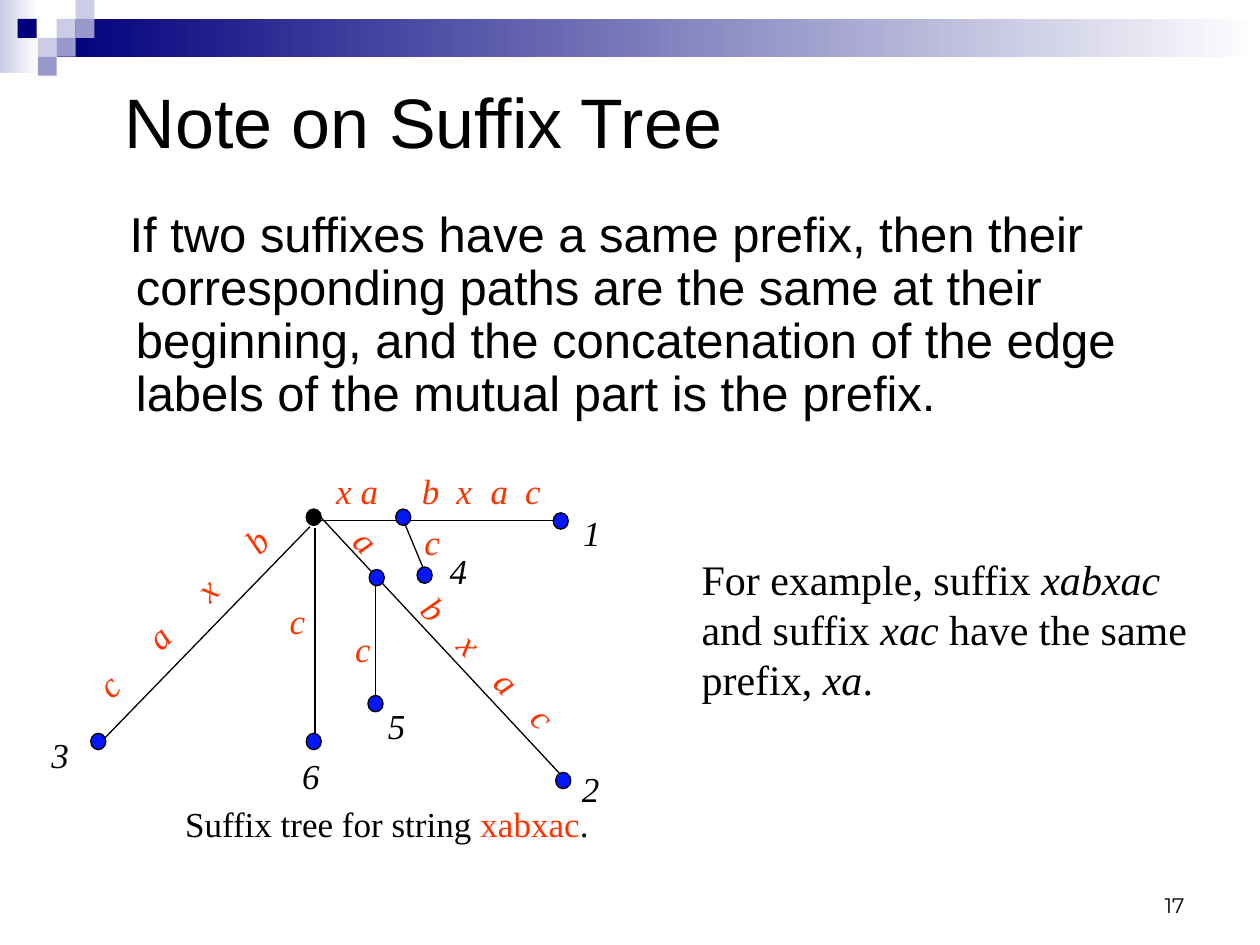
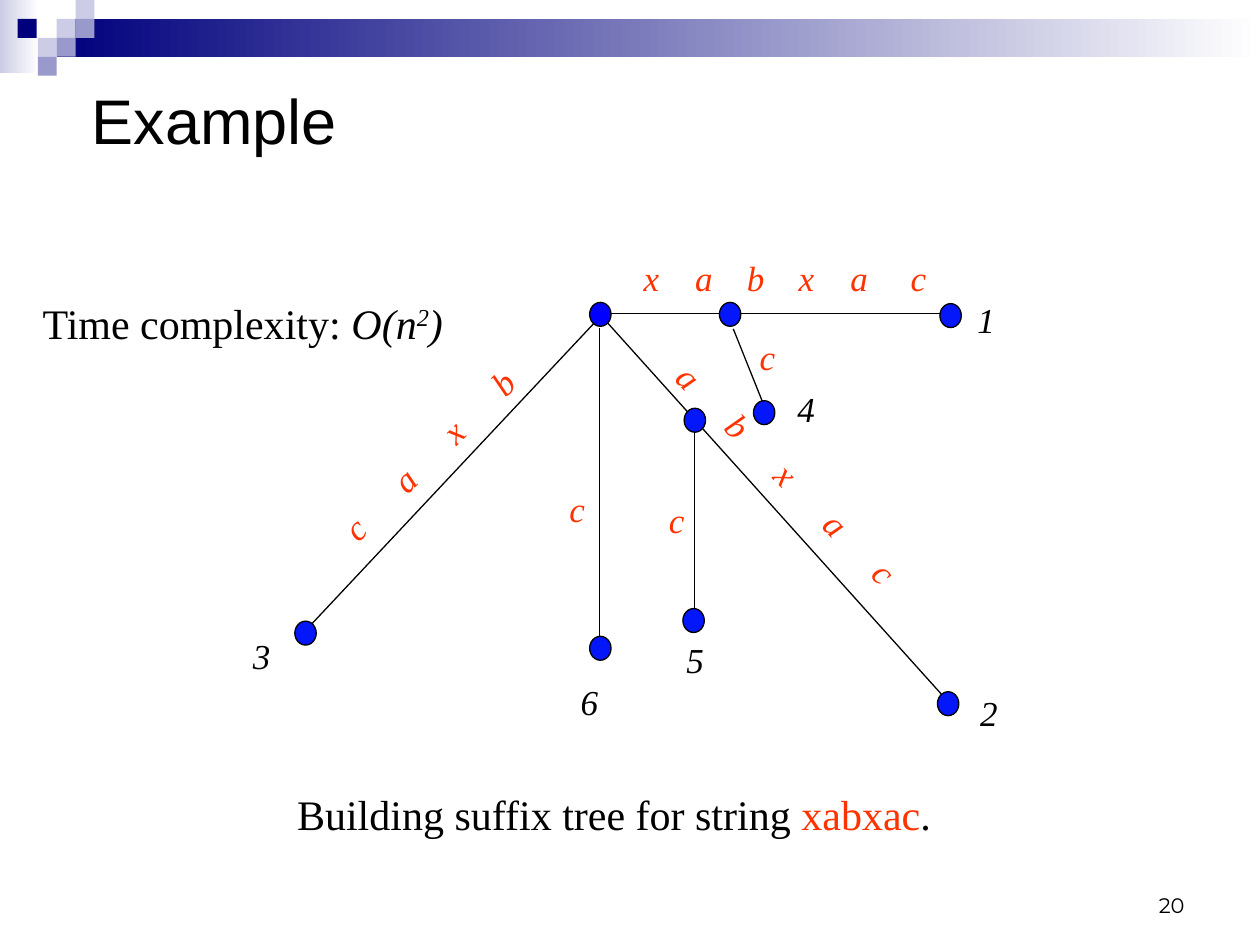
from pptx import Presentation
from pptx.dml.color import RGBColor
from pptx.enum.shapes import MSO_CONNECTOR, MSO_SHAPE
from pptx.enum.text import MSO_ANCHOR, MSO_AUTO_SIZE, PP_ALIGN
from pptx.oxml.ns import qn
from pptx.util import Inches, Pt
from lxml import etree

RECT, OVAL = MSO_SHAPE.RECTANGLE, MSO_SHAPE.OVAL
STRAIGHT = MSO_CONNECTOR.STRAIGHT
LEFT, RIGHT = PP_ALIGN.LEFT, PP_ALIGN.RIGHT
TOP, MIDDLE, BOTTOM = MSO_ANCHOR.TOP, MSO_ANCHOR.MIDDLE, MSO_ANCHOR.BOTTOM
NO_FIT = MSO_AUTO_SIZE.NONE

# The slide is a grid of 100 columns by 75 rows
COLS, ROWS = 100, 75
CELL = Inches(0.1)
BLACK, WHITE, RED, BLUE = "000000", "FFFFFF", "FF3300", "0416FA"
NAVY, LILAC, VIOLET = "00007D", "CCCCE6", "9999CC"
SANS, SERIF, NUMBER_FONT = "Arial", "Times New Roman", "Montserrat"
LINE_WIDTH = Pt(0.75)
MARK_SIZE = 20


def color(value):
    return RGBColor.from_string(value)


def grid(*cells):
    return [round(c * CELL) for c in cells]


def add_runs(p, runs, size, font):
    """Each run is (text, colour, italic) with an optional superscript flag."""
    for text, ink, italic, *superscript in runs:
        r = p.add_run()
        r.text = text
        r.font.size, r.font.name = Pt(size), font
        r.font.italic = italic
        r.font.color.rgb = color(ink)
        if superscript:
            r.font.superscript = True if hasattr(r.font, "superscript") else None
            r._r.get_or_add_rPr().set("baseline", "30000")


def add_text(s, box, lines, size, font=SERIF, wrap=False, align=LEFT, anchor=TOP):
    sp = s.shapes.add_textbox(*grid(*box))
    tf = sp.text_frame
    tf.word_wrap, tf.vertical_anchor = wrap, anchor
    for i, runs in enumerate(lines):
        p = tf.add_paragraph() if i else tf.paragraphs[0]
        p.alignment = align
        add_runs(p, runs, size, font)
    return sp


def add_shape(s, kind, box, fill, line=None):
    sp = s.shapes.add_shape(kind, *grid(*box))
    sp.shadow.inherit = False
    if isinstance(fill, tuple):
        sp.fill.gradient()
        sp.fill.gradient_angle = 0
        for stop, value in zip(sp.fill.gradient_stops, fill):
            stop.color.rgb = color(value)
    else:
        sp.fill.solid()
        sp.fill.fore_color.rgb = color(fill)
    if line:
        sp.line.color.rgb = color(line)
        sp.line.width = LINE_WIDTH
    else:
        sp.line.fill.background()
    return sp


def add_edge(s, ends):
    line = s.shapes.add_connector(STRAIGHT, *grid(*ends))
    line.line.color.rgb = color(BLACK)
    line.line.width = LINE_WIDTH
    etree.SubElement(line.element.spPr, qn("a:effectLst"))


def add_master_band(prs, s):
    """Top band and checker squares, drawn once and moved to the master."""
    tile = 1.5
    parts = [((0, 0, 3.1, 5.8), (LILAC, WHITE)),
             ((4.5, tile, COLS - 4.5, 2 * tile), (NAVY, WHITE))]
    squares = [(4.5, 1, LILAC), (6, 0, LILAC), (6, 1, VIOLET), (3, 2, LILAC),
               (1.4, 1, NAVY), (4.5, 2, VIOLET), (3, 3, VIOLET)]
    parts += [((x, row * tile, tile, tile), fill) for x, row, fill in squares]
    tree = prs.slide_master.element.cSld.spTree
    for i, (box, fill) in enumerate(parts):
        sp = add_shape(s, RECT, box, fill)
        sp.element.nvSpPr.cNvPr.set("id", str(100 + i))
        tree.insert(2 + i, sp.element)


def add_frame(s, title, box, size, number):
    """Title and slide number."""
    sp = s.shapes.title
    sp.left, sp.top, sp.width, sp.height = grid(*box)
    tf = sp.text_frame
    tf.word_wrap, tf.auto_size, tf.vertical_anchor = True, NO_FIT, MIDDLE
    p = tf.paragraphs[0]
    p.alignment = LEFT
    add_runs(p, [(title, BLACK, False)], size, SANS)
    add_text(s, (71.7, 68.3, 23.3, 5), [[(number, BLACK, False)]], 12,
             NUMBER_FONT, wrap=True, align=RIGHT, anchor=BOTTOM)


def add_edge_label(s, box, angle, letters, stops):
    """Letters along an edge, set apart by tab stops (in columns)."""
    sp = add_text(s, box, [[("\t".join(letters), RED, True)]], MARK_SIZE, wrap=True)
    sp.rotation = angle
    pPr = sp.text_frame.paragraphs[0]._p.get_or_add_pPr()
    tabs = etree.SubElement(pPr, qn("a:tabLst"))
    for stop in grid(*stops):
        etree.SubElement(tabs, qn("a:tab"), pos=str(stop), algn="l")


def even_stops(first, step, count):
    return [first + i * step for i in range(count)]


def add_tree(s, left, top, tree):
    """Suffix tree, its parts measured from the box's top left corner."""
    w, h = tree["node_size"]
    for x1, y1, x2, y2 in tree["edges"]:
        add_edge(s, (left + x1, top + y1, left + x2, top + y2))
    dots = [(x, y, BLUE) for x, y in tree["inner"]]
    dots += [(x, y, BLUE) for _, x, y, _, _ in tree["leaves"]]
    for x, y, fill in dots + [tree["root"]]:
        add_shape(s, OVAL, (left + x - w / 2, top + y - h / 2, w, h), fill, BLACK)
    for mark, _, _, x, y in tree["leaves"]:
        add_text(s, (left + x, top + y, 3.4, 4.4), [[(mark, BLACK, True)]], MARK_SIZE)
    for x, y in tree["c_labels"]:
        add_text(s, (left + x, top + y, 3.2, 4.4), [[("c", RED, True)]], MARK_SIZE)
    for x, y, width, angle, letters, stops in tree["labels"]:
        add_edge_label(s, (left + x, top + y, width, 4.4), angle, letters, stops)


# Leaves: number, node centre, place of the number
NOTE_TREE = {
    "node_size": (1.2, 1.3),
    "root": (21.9, 5.05, BLACK),
    "inner": [(26.9, 9.85), (29, 5.05)],
    "leaves": [("1", 41.5, 5.35, 42.3, 4.1), ("2", 41.7, 25.95, 42.2, 24.4),
               ("3", 4.8, 22.85, 0.1, 21.7), ("4", 30.7, 9.65, 31.7, 7.1),
               ("5", 26.8, 19.85, 26.8, 19.4), ("6", 21.9, 22.85, 20, 23.4)],
    "edges": [(22, 5.3, 41.3, 5.3), (22.5, 5.1, 41.8, 25.8), (21.6, 5.8, 5, 22.9),
              (29.1, 5.5, 30.8, 9.6), (26.8, 10.1, 26.8, 19.9), (22, 5.9, 22, 23)],
    "c_labels": [(29.7, 4.8), (24.2, 13.3), (19, 11.1)],
    "labels": [(1.1, 9.1, 23.5, 315.6, "caxb", even_stops(5.45, 5.45, 3)),
               (20.8, 13.5, 28.1, 45, "abxac", even_stops(7.6, 4.1, 4)),
               (22.7, 0.8, 18.2, 0, ["x a", *"bxac"], even_stops(6.8, 2.73, 4))],
}
EXAMPLE_TREE = {
    "node_size": (1.7, 1.9),
    "root": (28.65, 4.95, "0000FF"),
    "inner": [(36.15, 13.35), (38.95, 4.95)],
    "leaves": [("1", 56.45, 5.05, 57.6, 3.2), ("2", 56.25, 35.85, 57.8, 34.4),
               ("3", 5.25, 30.25, 0.1, 29.9), ("4", 41.65, 12.75, 43.3, 10.3),
               ("5", 36.05, 29.25, 34.5, 30.2), ("6", 28.65, 31.45, 26.1, 33.5)],
    "edges": [(29.5, 4.9, 56.1, 4.9), (29.2, 5.6, 55.9, 35.3), (28.2, 5.6, 5.2, 30.1),
              (39.2, 6.1, 41.6, 12.1), (36.1, 14.4, 36.1, 28.5), (28.6, 6, 28.6, 30.5)],
    "c_labels": [(40.3, 6.1), (33.1, 19.1), (25.2, 18.2)],
    "labels": [(4.6, 12.5, 23.8, 315.6, "caxb", even_stops(5.45, 5.45, 3)),
               (30.4, 16.5, 28.1, 45, "abxac", even_stops(5.5, 5.5, 4)),
               (31.1, -0.1, 24.6, 0, "xabxac", even_stops(4.1, 4.1, 4) + [21.2])],
}


def add_caption(s, box, lead, size):
    runs = [(lead, BLACK, False), ("xabxac", RED, False), (".", BLACK, False)]
    add_text(s, box, [runs], size)


def note_slide(s):
    add_frame(s, "Note on Suffix Tree", (8.9, 5.5, 86.8, 8.2), 40, "17")
    # Statement
    statement = ("If two suffixes have a same prefix, then their corresponding paths "
                 "are the same at their beginning, and the concatenation of the edge "
                 "labels of the mutual part is the prefix.")
    sp = add_text(s, (6, 16.2, 89.9, 19.2), [[(statement, BLACK, False)]], 28,
                  SANS, wrap=True)
    p = sp.text_frame.paragraphs[0]
    p.line_spacing, p.space_before = 0.9, Pt(7)
    pPr = p._p.get_or_add_pPr()
    pPr.set("marL", str(Inches(0.38)))
    pPr.set("indent", str(Inches(-0.05)))
    # Tree and its example
    add_tree(s, 3, 36, NOTE_TREE)
    add_caption(s, (13.7, 63.2, 34.1, 4.4), "Suffix tree for string ", 20)
    add_text(s, (54.7, 43.4, 40.6, 13), [
        [("For example, suffix", BLACK, False), (" xabxac", BLACK, True)],
        [("and suffix ", BLACK, False), ("xac", BLACK, True),
         (" have the same", BLACK, False)],
        [("prefix, ", BLACK, False), ("xa", BLACK, True), (".", BLACK, False)],
    ], 24)


def example_slide(s):
    add_frame(s, "Example", (6.3, 5, 88.7, 8.9), 36, "20")
    add_tree(s, 19, 20, EXAMPLE_TREE)
    add_caption(s, (22.6, 62.1, 52.3, 5), "Building suffix tree for string ", 24)
    add_text(s, (2.4, 23.1, 33.9, 5), [[
        ("Time complexity: ", BLACK, False), ("O(n", BLACK, True),
        ("2", BLACK, True, True), (")", BLACK, True)]], 24)


def main():
    prs = Presentation()
    prs.slide_width, prs.slide_height = grid(COLS, ROWS)
    title_only = prs.slide_layouts[5]
    for i, build in enumerate((note_slide, example_slide)):
        s = prs.slides.add_slide(title_only)
        if i == 0:
            add_master_band(prs, s)
        build(s)
    prs.save("out.pptx")


if __name__ == "__main__":
    main()
